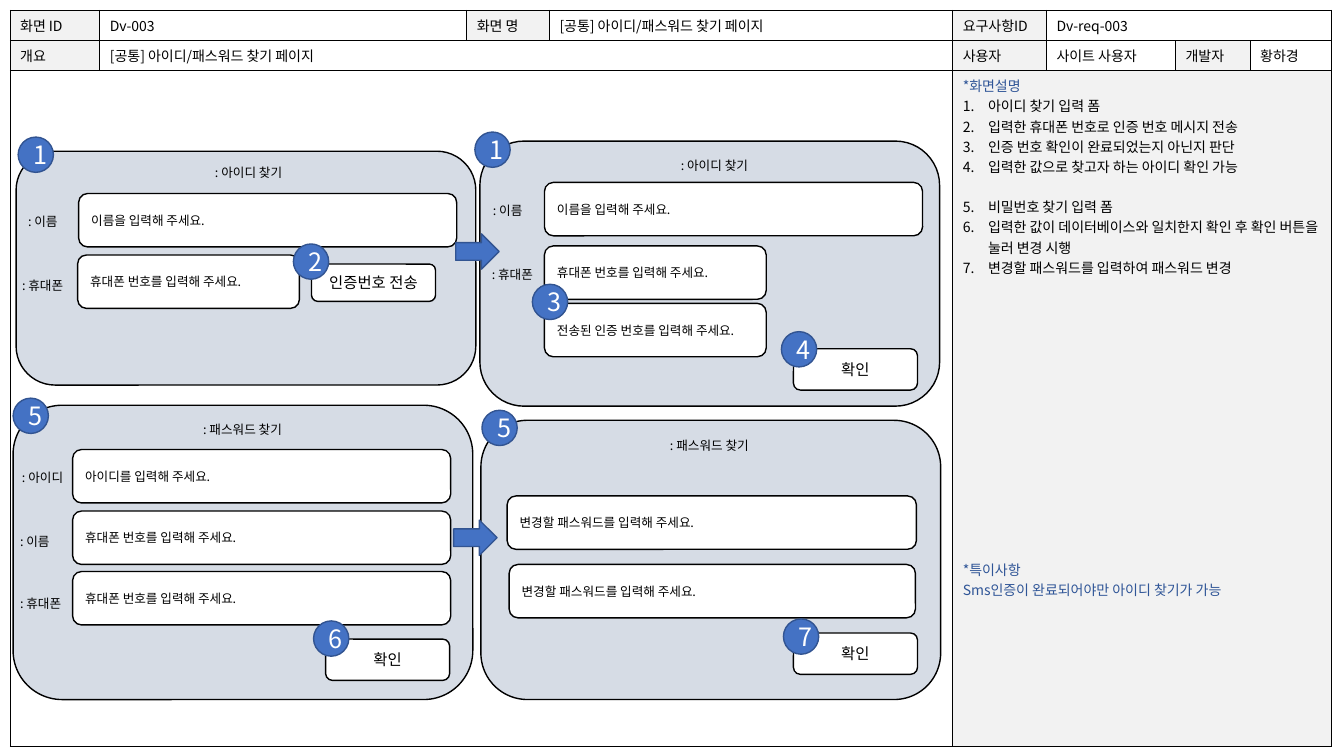
from dataclasses import dataclass
from typing import NamedTuple

import lxml.etree
import pptx
import pptx.dml.color
import pptx.enum.shapes
import pptx.enum.text
import pptx.oxml.ns
import pptx.util

PX = 9144  # EMU per px, 100 px to the inch
FONT = "Noto Sans CJK KR"
BLACK, WHITE, GREY = "000000", "FFFFFF", "F2F2F2"
BLUE, NAVY, HEADING = "4472C4", "325491", "2F5597"
LINE_PT = 14.4
SHAPE = pptx.enum.shapes.MSO_SHAPE
ALIGN = pptx.enum.text.PP_ALIGN
qn = pptx.oxml.ns.qn


@dataclass(frozen=True)
class Style:
    geometry: SHAPE
    fill: str
    line: str
    size: int = 9
    color: str = BLACK
    align: ALIGN = ALIGN.CENTER


class Box(NamedTuple):
    x: int
    y: int
    w: int
    h: int
    text: str = ""
    align: ALIGN = ALIGN.LEFT


class HeaderCell(NamedTuple):
    row: int
    col: int
    text: str
    fill: str
    last_col: int


class Note(NamedTuple):
    text: str
    numbered: bool = True
    blank_lines: int = 0
    color: str = BLACK


PANEL = Style(SHAPE.ROUNDED_RECTANGLE, "D6DCE5", BLACK)
FIELD = Style(SHAPE.ROUNDED_RECTANGLE, WHITE, BLACK, align=ALIGN.LEFT)
BUTTON = Style(SHAPE.ROUNDED_RECTANGLE, WHITE, BLACK, size=11)
ARROW = Style(SHAPE.RIGHT_ARROW, BLUE, NAVY)
BADGE = Style(SHAPE.OVAL, BLUE, NAVY, size=18, color=WHITE)

PAGE_NAME = "[공통] 아이디/패스워드 찾기 페이지"
ENTER_NAME = "이름을 입력해 주세요."
ENTER_PHONE = "휴대폰 번호를 입력해 주세요."
ENTER_PASSWORD = "변경할 패스워드를 입력해 주세요."

COLUMNS = [89, 364, 82, 400, 93, 128, 74, 81]
ROWS = [28, 29, 670]
HEADER = [
    HeaderCell(0, 0, "화면 ID", GREY, 0),
    HeaderCell(0, 1, "Dv-003", WHITE, 1),
    HeaderCell(0, 2, "화면 명", GREY, 2),
    HeaderCell(0, 3, PAGE_NAME, WHITE, 3),
    HeaderCell(0, 4, "요구사항ID", GREY, 4),
    HeaderCell(0, 5, "Dv-req-003", WHITE, 7),
    HeaderCell(1, 0, "개요", GREY, 0),
    HeaderCell(1, 1, PAGE_NAME, WHITE, 3),
    HeaderCell(1, 4, "사용자", GREY, 4),
    HeaderCell(1, 5, "사이트 사용자", WHITE, 5),
    HeaderCell(1, 6, "개발자", GREY, 6),
    HeaderCell(1, 7, "황하경", WHITE, 7),
    HeaderCell(2, 0, "", WHITE, 3),
    HeaderCell(2, 4, "", GREY, 7),
]
NOTES = [
    Note("*화면설명", numbered=False, color=HEADING),
    Note("아이디 찾기 입력 폼"),
    Note("입력한 휴대폰 번호로 인증 번호 메시지 전송"),
    Note("인증 번호 확인이 완료되었는지 아닌지 판단"),
    Note("입력한 값으로 찾고자 하는 아이디 확인 가능"),
    Note("비밀번호 찾기 입력 폼", blank_lines=1),
    Note("입력한 값이 데이터베이스와 일치한지 확인 후 확인 버튼을 눌러 변경 시행"),
    Note("변경할 패스워드를 입력하여 패스워드 변경"),
    Note("*특이사항", numbered=False, blank_lines=14, color=HEADING),
    Note("Sms인증이 완료되어야만 아이디 찾기가 가능", numbered=False, color=HEADING),
]

PANELS = [Box(16, 150, 456, 232), Box(13, 402, 456, 292),
          Box(476, 140, 456, 263), Box(477, 417, 456, 277)]
LABELS = [
    Box(22, 159, 449, 25, ": 아이디 찾기", ALIGN.CENTER),
    Box(18, 207, 449, 25, ": 이름"),
    Box(12, 271, 302, 25, ": 휴대폰"),
    Box(16, 414, 449, 25, ": 패스워드 찾기", ALIGN.CENTER),
    Box(12, 461, 90, 25, ": 아이디"),
    Box(10, 525, 449, 25, ": 이름"),
    Box(10, 586, 449, 25, ": 휴대폰"),
    Box(484, 152, 449, 25, ": 아이디 찾기", ALIGN.CENTER),
    Box(479, 196, 449, 25, ": 이름"),
    Box(478, 260, 267, 25, ": 휴대폰"),
    Box(479, 429, 449, 25, ": 패스워드 찾기", ALIGN.CENTER),
]
FIELDS = [
    Box(78, 192, 375, 53, ENTER_NAME),
    Box(77, 253, 220, 53, ENTER_PHONE),
    Box(72, 446, 375, 53, "아이디를 입력해 주세요."),
    Box(72, 507, 375, 53, ENTER_PHONE),
    Box(72, 567, 375, 53, ENTER_PHONE),
    Box(540, 181, 375, 53, ENTER_NAME),
    Box(540, 244, 220, 53, ENTER_PHONE),
    Box(540, 301, 220, 53, "전송된 인증 번호를 입력해 주세요."),
    Box(503, 492, 406, 53, ENTER_PASSWORD),
    Box(505, 560, 403, 53, ENTER_PASSWORD),
]
BUTTONS = [Box(309, 262, 123, 37, "인증번호 전송")] + [
    Box(x, y, 123, 41, "확인") for x, y in [(323, 634), (787, 346), (787, 628)]]
ARROWS = [Box(452, 232, 43, 35), Box(450, 516, 43, 35)]
BADGES = [Box(x, y, 35, 35, number) for x, y, number in [
    (18, 136, "1"), (471, 131, "1"), (291, 242, "2"), (528, 282, "3"), (775, 329, "4"),
    (13, 395, "5"), (478, 407, "5"), (311, 616, "6"), (777, 614, "7")]]


def rgb(color: str) -> pptx.dml.color.RGBColor:
    return pptx.dml.color.RGBColor.from_string(color)


def add_run(p, text: str, size: int, color: str) -> None:
    r = p.add_run()
    r.text = text
    r.font.size = pptx.util.Pt(size)
    r.font.color.rgb = rgb(color)
    r.font.name = FONT
    lxml.etree.SubElement(r.font._element, qn("a:ea"), typeface=FONT)


def emu(box: Box) -> list[int]:
    return [v * PX for v in box[:4]]


def add_box(s, box: Box, style: Style) -> None:
    sp = s.shapes.add_shape(style.geometry, *emu(box))
    sp.shadow.inherit = False
    sp.fill.solid()
    sp.fill.fore_color.rgb = rgb(style.fill)
    sp.line.color.rgb = rgb(style.line)
    sp.line.width = pptx.util.Pt(1)
    if box.text:
        sp.text_frame.vertical_anchor = pptx.enum.text.MSO_ANCHOR.MIDDLE
        p = sp.text_frame.paragraphs[0]
        p.alignment = style.align
        add_run(p, box.text, style.size, style.color)


def add_label(s, box: Box) -> None:
    tf = s.shapes.add_textbox(*emu(box)).text_frame
    tf.word_wrap = True
    tf.auto_size = pptx.enum.text.MSO_AUTO_SIZE.SHAPE_TO_FIT_TEXT
    tf.paragraphs[0].alignment = box.align
    add_run(tf.paragraphs[0], box.text, 9, BLACK)


def add_borders(cell) -> None:
    tc_pr = cell._tc.get_or_add_tcPr()
    for i, side in enumerate("LRTB"):
        ln = lxml.etree.Element(qn(f"a:ln{side}"), w=str(pptx.util.Pt(0.5)))
        fill = lxml.etree.SubElement(ln, qn("a:solidFill"))
        lxml.etree.SubElement(fill, qn("a:srgbClr"), val=BLACK)
        tc_pr.insert(i, ln)


def add_notes_list(tf) -> None:
    for i, note in enumerate(NOTES):
        p = tf.add_paragraph() if i else tf.paragraphs[0]
        if note.blank_lines:
            p.space_before = pptx.util.Pt(note.blank_lines * LINE_PT)
        if note.numbered:
            p_pr = p._p.get_or_add_pPr()
            p_pr.set("marL", str(25 * PX))
            p_pr.set("indent", str(-25 * PX))
            lxml.etree.SubElement(p_pr, qn("a:buAutoNum"), type="arabicPeriod")
        add_run(p, note.text, 10, note.color)


def add_spec_table(s) -> None:
    frame = Box(10, 10, sum(COLUMNS), sum(ROWS))
    table = s.shapes.add_table(len(ROWS), len(COLUMNS), *emu(frame)).table
    table.first_row = table.horz_banding = False
    for column, width in zip(table.columns, COLUMNS):
        column.width = width * PX
    for row, height in zip(table.rows, ROWS):
        row.height = height * PX
    for item in HEADER:
        cell = table.cell(item.row, item.col)
        if item.last_col > item.col:
            cell.merge(table.cell(item.row, item.last_col))
        for col in range(item.col, item.last_col + 1):
            part = table.cell(item.row, col)
            part.fill.solid()
            part.fill.fore_color.rgb = rgb(item.fill)
            add_borders(part)
        if item.text:
            add_run(cell.text_frame.paragraphs[0], item.text, 10, BLACK)
    add_notes_list(table.cell(2, 4).text_frame)


def main() -> None:
    prs = pptx.Presentation()
    prs.slide_width, prs.slide_height = 1333 * PX, 750 * PX
    s = prs.slides.add_slide(prs.slide_layouts[6])
    add_spec_table(s)
    for panel in PANELS:
        add_box(s, panel, PANEL)
    for label in LABELS:
        add_label(s, label)
    for boxes, style in [(FIELDS, FIELD), (BUTTONS, BUTTON), (ARROWS, ARROW), (BADGES, BADGE)]:
        for box in boxes:
            add_box(s, box, style)
    prs.save("out.pptx")


if __name__ == "__main__":
    main()
